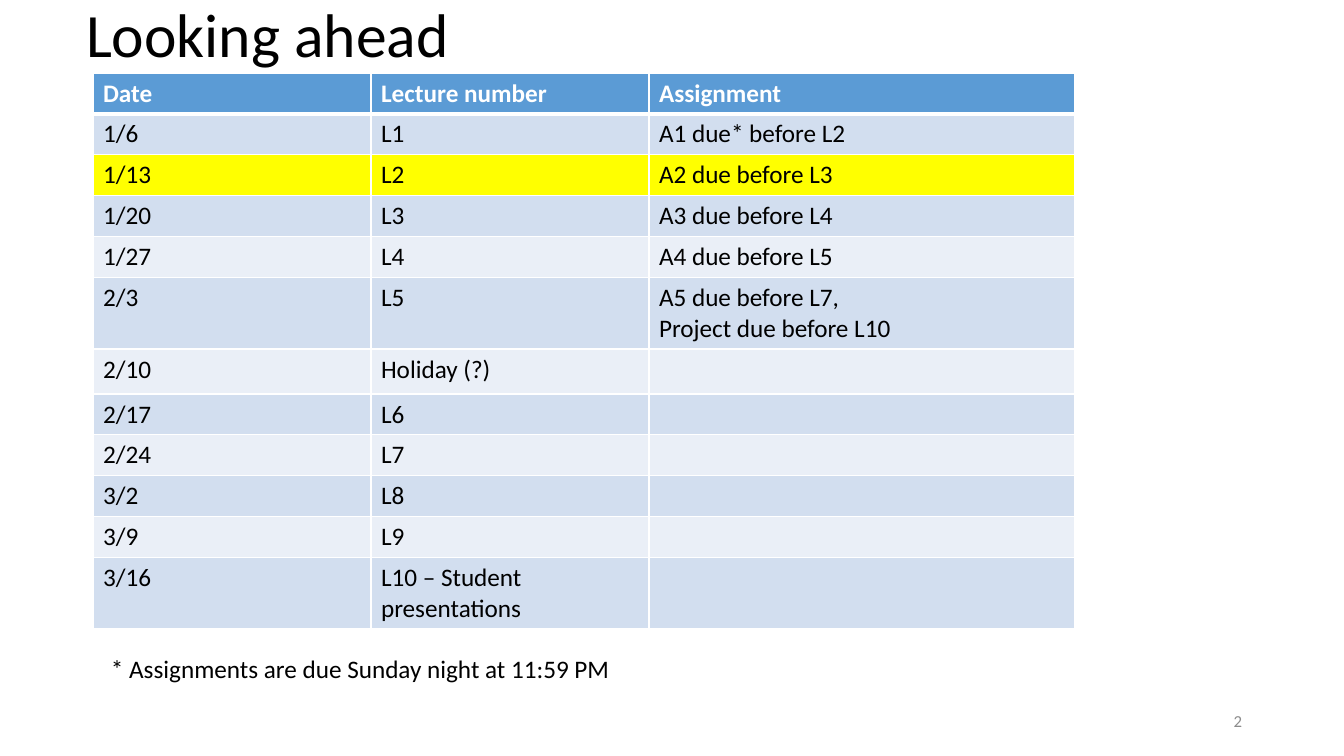
from dataclasses import dataclass

from lxml import etree
from pptx import Presentation
from pptx.dml.color import RGBColor
from pptx.enum.text import MSO_ANCHOR, MSO_AUTO_SIZE, PP_ALIGN
from pptx.oxml.ns import qn
from pptx.util import Pt

TOP, MIDDLE = MSO_ANCHOR.TOP, MSO_ANCHOR.MIDDLE
LEFT, RIGHT = PP_ALIGN.LEFT, PP_ALIGN.RIGHT
FIT_SHAPE, NO_FIT = MSO_AUTO_SIZE.SHAPE_TO_FIT_TEXT, MSO_AUTO_SIZE.NONE
TITLE_ONLY = 5
EMU_PER_PIXEL = 914400 / 100.8


@dataclass(frozen=True)
class Theme:
    font: str = "Calibri"
    text: str = "000000"
    white: str = "FFFFFF"
    grey: str = "8C8C8C"
    header: str = "5B9BD5"
    odd_band: str = "D2DEEF"
    even_band: str = "EAEFF7"
    highlight: str = "FFFF00"
    title_size: int = 44
    body_size: int = 18
    number_size: int = 12
    thin_border: int = 1
    thick_border: int = 3


THEME = Theme()

COLUMN_WIDTHS = (278, 278, 426)
ROW_HEIGHT, HOLIDAY_HEIGHT = 38, 45
CURRENT_DATE, HOLIDAY_DATE = "1/13", "2/10"
SCHEDULE = [
    ("Date", "Lecture number", "Assignment"),
    ("1/6", "L1", "A1 due* before L2"),
    ("1/13", "L2", "A2 due before L3"),
    ("1/20", "L3", "A3 due before L4"),
    ("1/27", "L4", "A4 due before L5"),
    ("2/3", "L5", "A5 due before L7,\nProject due before L10"),
    ("2/10", "Holiday (?)", ""),
    ("2/17", "L6", ""),
    ("2/24", "L7", ""),
    ("3/2", "L8", ""),
    ("3/9", "L9", ""),
    ("3/16", "L10 – Student presentations", ""),
]


def px(pixels):
    return round(pixels * EMU_PER_PIXEL)


def write_text(frame, text, size, color, bold=False, align=LEFT):
    for index, line in enumerate(text.split("\n")):
        paragraph = frame.add_paragraph() if index else frame.paragraphs[0]
        paragraph.alignment = align
        paragraph.font.size = Pt(size)
        if line:
            run = paragraph.add_run()
            run.text = line
            run.font.name = THEME.font
            run.font.size = Pt(size)
            run.font.bold = bold
            run.font.color.rgb = RGBColor.from_string(color)


def set_borders(cell, top, bottom):
    properties = cell._tc.get_or_add_tcPr()
    widths = {"lnL": THEME.thin_border, "lnR": THEME.thin_border,
              "lnT": top, "lnB": bottom}
    for side, width in widths.items():
        line = etree.SubElement(properties, qn(f"a:{side}"), w=str(Pt(width)))
        fill = etree.SubElement(line, qn("a:solidFill"))
        etree.SubElement(fill, qn("a:srgbClr"), val=THEME.white)


def add_title(slide, box, text):
    title = slide.shapes.title
    title.left, title.top, title.width, title.height = map(px, box)
    frame = title.text_frame
    frame.word_wrap = True
    frame.auto_size = NO_FIT
    frame.vertical_anchor = TOP
    write_text(frame, text, THEME.title_size, THEME.text)
    frame.paragraphs[0].line_spacing = 0.9


def row_fill(index, date):
    if index == 0:
        return THEME.header
    if date == CURRENT_DATE:
        return THEME.highlight
    return THEME.odd_band if index % 2 else THEME.even_band


def add_schedule(slide, box):
    table = slide.shapes.add_table(
        len(SCHEDULE), len(COLUMN_WIDTHS), *map(px, box)).table
    for column, width in zip(table.columns, COLUMN_WIDTHS):
        column.width = px(width)
    for index, values in enumerate(SCHEDULE):
        date, is_header = values[0], index == 0
        table.rows[index].height = px(
            HOLIDAY_HEIGHT if date == HOLIDAY_DATE else ROW_HEIGHT)
        # The thick rule lies between the header and the first date
        top = THEME.thick_border if index == 1 else THEME.thin_border
        bottom = THEME.thick_border if is_header else THEME.thin_border
        for column, text in enumerate(values):
            cell = table.cell(index, column)
            set_borders(cell, top, bottom)
            cell.fill.solid()
            cell.fill.fore_color.rgb = RGBColor.from_string(row_fill(index, date))
            write_text(cell.text_frame, text, THEME.body_size,
                       THEME.white if is_header else THEME.text, is_header)


def add_footnote(slide, box, text):
    frame = slide.shapes.add_textbox(*map(px, box)).text_frame
    frame.word_wrap = False
    frame.auto_size = FIT_SHAPE
    write_text(frame, text, THEME.body_size, THEME.text)


def add_slide_number(slide, box, number):
    frame = slide.shapes.add_textbox(*map(px, box)).text_frame
    frame.word_wrap = True
    frame.vertical_anchor = MIDDLE
    write_text(frame, number, THEME.number_size, THEME.grey, align=RIGHT)


def build_schedule_slide(presentation):
    slide = presentation.slides.add_slide(presentation.slide_layouts[TITLE_ONLY])
    add_title(slide, (76, -1, 1159, 146), "Looking ahead")
    add_schedule(slide, (93, 73, sum(COLUMN_WIDTHS), 549))
    add_slide_number(slide, (950, 701, 302, 40), "2")
    add_footnote(slide, (101, 648, 525, 40),
                 "* Assignments are due Sunday night at 11:59 PM")


presentation = Presentation()
presentation.slide_width, presentation.slide_height = px(1344), px(756)
build_schedule_slide(presentation)
presentation.save("out.pptx")
